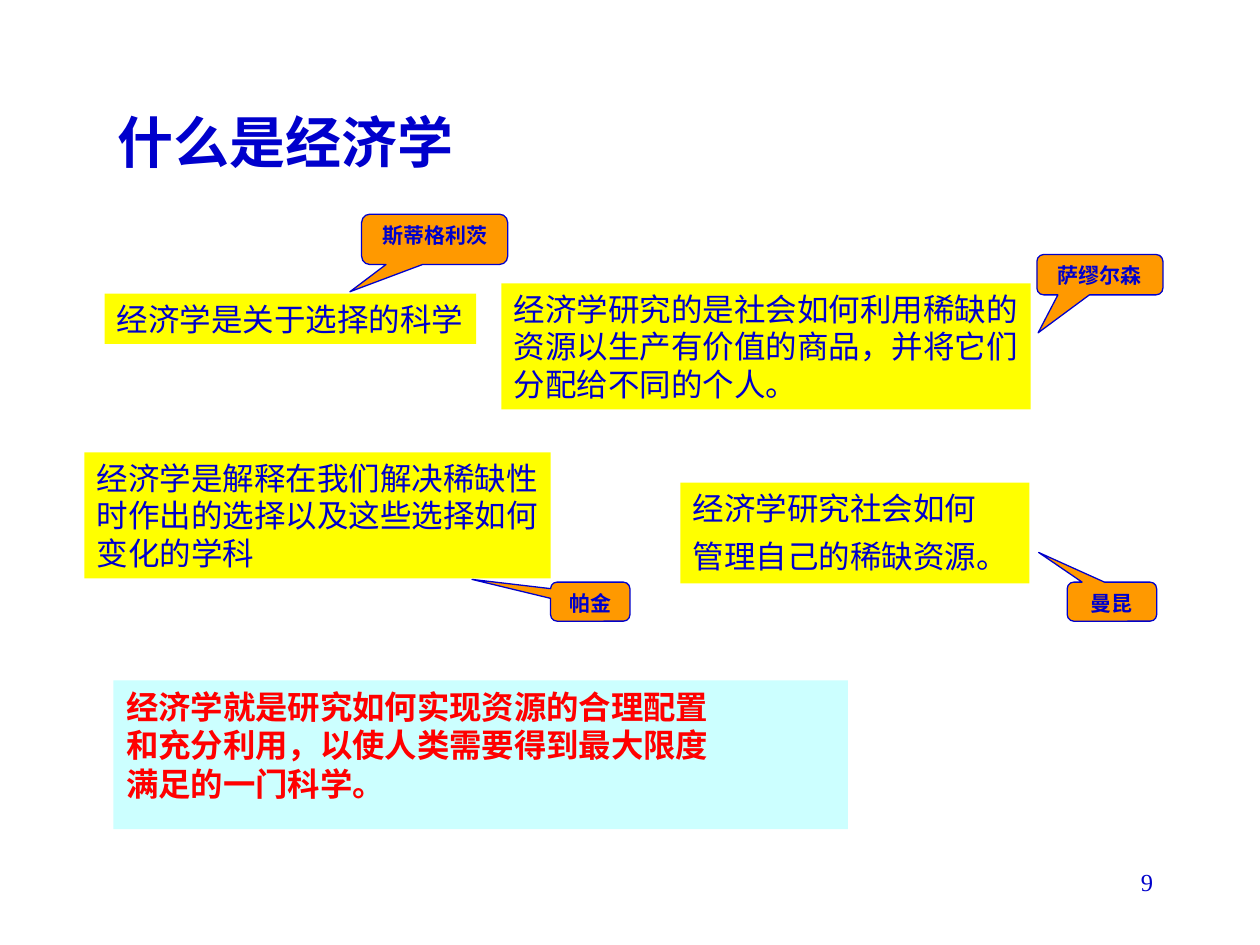
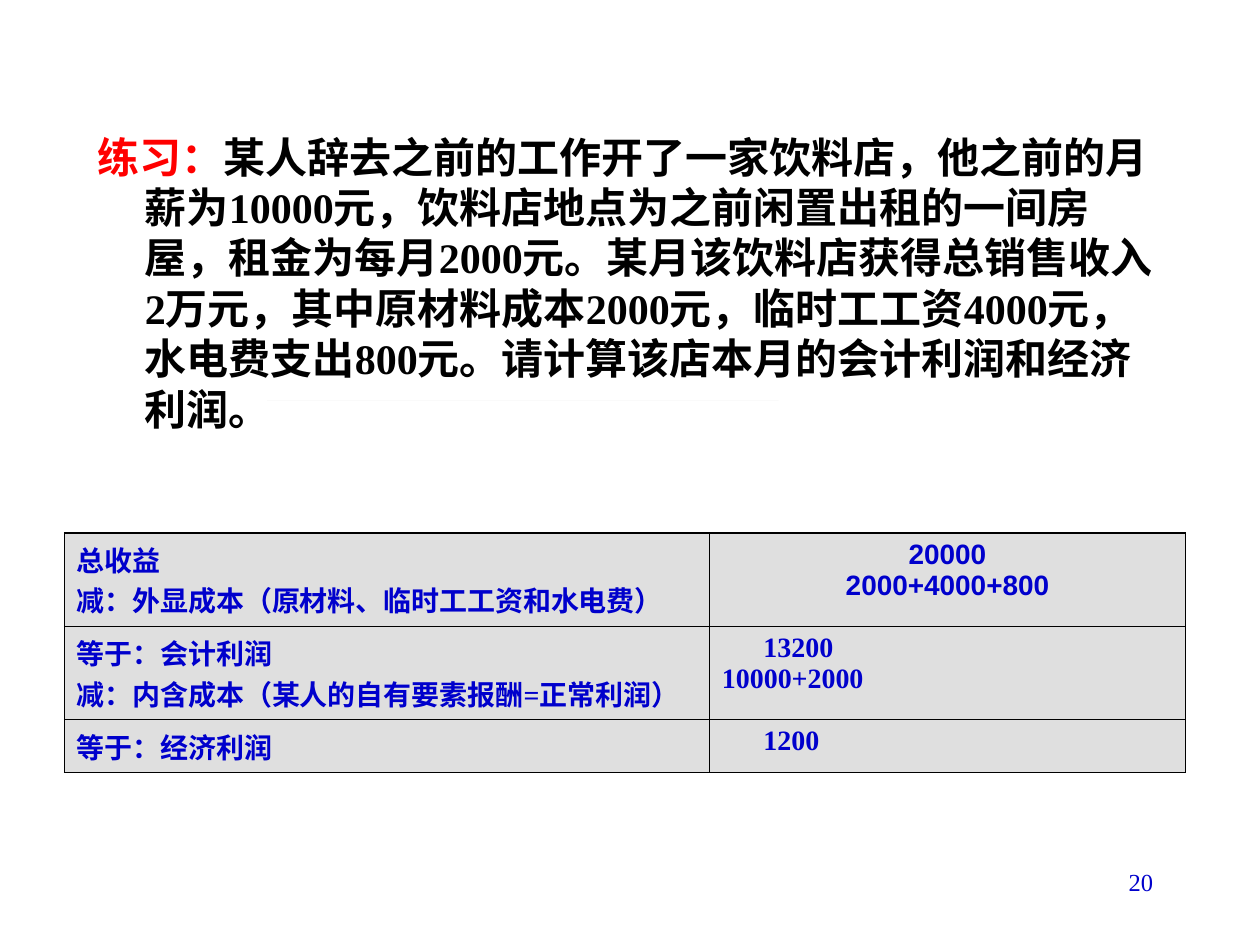
from lxml import etree
from pptx import Presentation
from pptx.dml.color import RGBColor
from pptx.enum.shapes import MSO_SHAPE
from pptx.enum.text import MSO_ANCHOR, MSO_AUTO_SIZE, PP_ALIGN
from pptx.oxml.ns import qn
from pptx.util import Inches, Pt

LEFT, CENTER, RIGHT, JUSTIFY = PP_ALIGN.LEFT, PP_ALIGN.CENTER, PP_ALIGN.RIGHT, PP_ALIGN.JUSTIFY
TOP = MSO_ANCHOR.TOP
NO_FIT, GROW = MSO_AUTO_SIZE.NONE, MSO_AUTO_SIZE.SHAPE_TO_FIT_TEXT
RECT, CALLOUT = MSO_SHAPE.RECTANGLE, MSO_SHAPE.ROUNDED_RECTANGULAR_CALLOUT

SERIF, SANS = "Times New Roman", "Arial"
BLUE, RED, BLACK = "0000CC", "FF0000", "000000"
YELLOW, ORANGE, CYAN, GREY = "FFFF00", "FF9900", "CCFFFF", "DFDFDF"


def paint(fill, color):
    fill.solid()
    fill.fore_color.rgb = RGBColor.from_string(color)


def write(tf, lines, size, color=BLUE, bold=False, font=SERIF, align=LEFT,
          spacing=None, gap=0, indents=(), hang=0):
    """Each line is a string or a list of (text, colour) runs."""
    for i, line in enumerate(lines):
        p = tf.paragraphs[0] if i == 0 else tf.add_paragraph()
        p.alignment, p.line_spacing = align, spacing
        p.space_before = Pt(gap if i else 0)
        pPr = p._p.get_or_add_pPr()
        pPr.set("marL", str(Inches(indents[i] if indents else hang)))
        pPr.set("indent", str(-Inches(hang)))
        pPr.set("hangingPunct", "0")
        etree.SubElement(pPr, qn("a:buNone"))
        for text, run_color in [(line, color)] if isinstance(line, str) else line:
            r = p.add_run()
            r.text = text
            r.font.name, r.font.size, r.font.bold = font, Pt(size), bold
            paint(r.font.fill, run_color)


prs = Presentation()
prs.slide_width, prs.slide_height = Inches(10), Inches(7.5)

# Both slides: body placeholder and page number
slides = []
for number, box in (("9", (0.9, 5.4, 5.83, 1.18)), ("20", (0.67, 0.99, 8.74, 2.68))):
    s = prs.slides.add_slide(prs.slide_layouts[1])
    body = s.placeholders[1]
    body.left, body.top, body.width, body.height = map(Inches, box)
    body.text_frame.auto_size = NO_FIT
    body.text_frame.vertical_anchor = TOP
    sp = s.shapes.add_textbox(Inches(7.17), Inches(6.83), Inches(2.08), Inches(0.5))
    sp.text_frame.word_wrap = True
    write(sp.text_frame, [number], 14, align=RIGHT)
    slides.append((s, body))

# Slide 1: title and conclusion
s, body = slides[0]
title = s.shapes.title
title.left, title.top, title.width, title.height = map(Inches, (0.83, 0.91, 4.33, 0.53))
title.text_frame.auto_size = NO_FIT
title.text_frame.vertical_anchor = TOP
write(title.text_frame, ["什么是经济学"], 32, bold=True, spacing=0.8)
paint(body.fill, CYAN)
write(body.text_frame, ["经济学就是研究如何实现资源的合理配置",
                        "和充分利用，以使人类需要得到最大限度",
                        "满足的一门科学。"], 18.5, RED, bold=True, hang=0.38)

# Slide 1: definitions, each with a callout naming its author
definitions = [
    ((3.98, 2.25, 4.2, 1), 0, ["经济学研究的是社会如何利用稀缺的",
                               "资源以生产有价值的商品，并将它们",
                               "分配给不同的个人。"],
     "萨缪尔森", (8.23, 2.02, 1, 0.32), (-0.49, 1.44)),
    ((0.83, 2.33, 2.95, 0.4), 0, ["经济学是关于选择的科学"],
     "斯蒂格利茨", (2.87, 1.7, 1.16, 0.4), (-0.58, 1.04)),
    ((0.67, 3.59, 3.7, 1), 0, ["经济学是解释在我们解决稀缺性",
                               "时作出的选择以及这些选择如何",
                               "变化的学科"],
     "帕金", (4.37, 4.62, 0.63, 0.31), (-1.49, -0.57)),
    ((5.4, 3.83, 2.77, 0.8), 6, ["经济学研究社会如何", "管理自己的稀缺资源。"],
     "曼昆", (8.47, 4.62, 0.71, 0.31), (-0.82, -1.26)),
]
for box, gap, lines, author, callout_box, tip in definitions:
    sp = s.shapes.add_textbox(*map(Inches, box))
    paint(sp.fill, YELLOW)
    sp.text_frame.word_wrap = False
    sp.text_frame.auto_size = GROW
    write(sp.text_frame, lines, 18, gap=gap)

    sp = s.shapes.add_shape(CALLOUT, *map(Inches, callout_box))
    sp.shadow.inherit = False
    sp.adjustments[0], sp.adjustments[1] = tip
    paint(sp.fill, ORANGE)
    paint(sp.line.fill, BLUE)
    sp.line.width = Pt(0.75)
    sp.text_frame.vertical_anchor = TOP
    write(sp.text_frame, [author], 12, bold=True, align=CENTER)

# Slide 2: exercise and hairline
s, body = slides[1]
title = s.shapes.title
title.element.getparent().remove(title.element)
question = ("某人辞去之前的工作开了一家饮料店，他之前的月薪为10000元，饮料店地点为之前闲置出租的一间房屋，"
            "租金为每月2000元。某月该饮料店获得总销售收入2万元，其中原材料成本2000元，临时工工资4000元，"
            "水电费支出800元。请计算该店本月的会计利润和经济利润。")
write(body.text_frame, [[("练习：", RED), (question, BLACK)]], 24, bold=True, hang=0.38)
sp = s.shapes.add_shape(RECT, Inches(2.12), Inches(3.18), Inches(4.06), 0)
sp.shadow.inherit = False
paint(sp.fill, GREY)
sp.line.fill.background()

# Slide 2: profit table
rows = [
    (0.74, SANS, JUSTIFY, CENTER, ["总收益", "减：外显成本（原材料、临时工工资和水电费）"],
     ["20000", "2000+4000+800"], ()),
    (0.74, SERIF, LEFT, LEFT, ["等于：会计利润", "减：内含成本（某人的自有要素报酬=正常利润）"],
     ["13200", "10000+2000"], (0.33, 0)),
    (0.42, SERIF, LEFT, LEFT, ["等于：经济利润"], ["1200"], (0.33,)),
]
table = s.shapes.add_table(len(rows), 2, Inches(0.51), Inches(4.23),
                           Inches(8.9), Inches(1.9)).table
table.first_row = table.horz_banding = False
table.columns[0].width, table.columns[1].width = Inches(5.12), Inches(3.78)
for i, (height, font, label_align, value_align, labels, values, indents) in enumerate(rows):
    table.rows[i].height = Inches(height)
    cells = table.cell(i, 0), table.cell(i, 1)
    write(cells[0].text_frame, labels, 16, bold=True, font=font, align=label_align)
    write(cells[1].text_frame, values, 16, bold=True, font=font, align=value_align,
          indents=indents)
    top = 0.96 if i == 0 else 0.45
    bottom = 0.96 if i == len(rows) - 1 else 0.45
    for j, cell in enumerate(cells):
        left, right = (0.34, 0.45) if j == 0 else (0.45, 0.34)
        tcPr = cell._tc.get_or_add_tcPr()
        for side, width in zip("LRTB", (left, right, top, bottom)):
            ln = etree.SubElement(tcPr, qn("a:ln" + side), w=str(Pt(width)))
            solid = etree.SubElement(ln, qn("a:solidFill"))
            etree.SubElement(solid, qn("a:srgbClr"), val=BLACK)
        paint(cell.fill, GREY)

prs.save("out.pptx")
